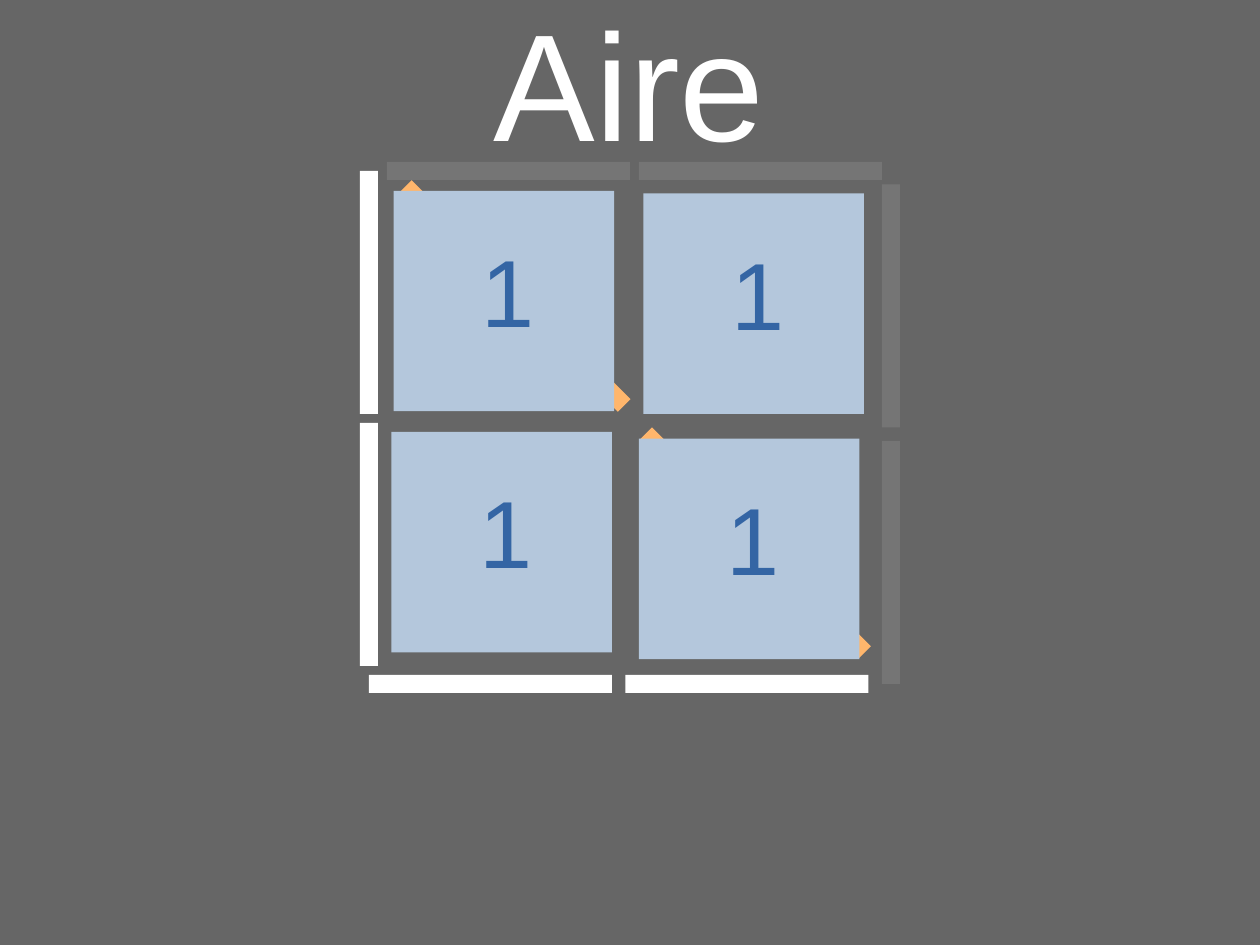
from dataclasses import dataclass

from lxml import etree
from pptx import Presentation
from pptx.dml.color import RGBColor
from pptx.enum import shapes, text
from pptx.oxml.ns import qn
from pptx.util import Cm, Pt


@dataclass(frozen=True)
class Theme:
    font: str = "Arial"
    backdrop: str = "666666"
    white: str = "FFFFFF"
    diagonal: str = "FFB66C"
    square: str = "B4C7DC"
    number: str = "3465A4"
    title_size: int = 96
    number_size: int = 60


theme = Theme()


def add_block(parent, left, top, width, height, color, opacity=100):
    block = parent.shapes.add_shape(
        shapes.MSO_SHAPE.RECTANGLE, Cm(left), Cm(top), Cm(width), Cm(height))
    block.shadow.inherit = False
    block.line.fill.background()
    block.fill.solid()
    block.fill.fore_color.rgb = RGBColor.from_string(color)
    if opacity < 100:
        srgb = block.fill._xPr.find(".//" + qn("a:srgbClr"))
        etree.SubElement(srgb, qn("a:alpha"), val=str(opacity * 1000))
    return block


def add_label(parent, words, left, top, width, height, size, color):
    label = parent.shapes.add_textbox(Cm(left), Cm(top), Cm(width), Cm(height))
    label.text_frame.text = words
    font = label.text_frame.paragraphs[0].runs[0].font
    font.name, font.size = theme.font, Pt(size)
    font.color.rgb = RGBColor.from_string(color)
    return label.text_frame


prs = Presentation()
prs.slide_width, prs.slide_height = Cm(28), Cm(21)
slide = prs.slides.add_slide(prs.slide_layouts[6])

# Backdrop and title
add_block(slide, 0, 0, 28, 21, theme.backdrop)
title = add_label(slide, "Aire", 5.97, -0.4, 16.03, 4.4,
                  theme.title_size, theme.white)
title.word_wrap = True
title.vertical_anchor = text.MSO_ANCHOR.MIDDLE
title.margin_left = title.margin_right = title.margin_top = title.margin_bottom = 0
title.paragraphs[0].alignment = text.PP_ALIGN.CENTER

# Unit sides: solid at the bottom and left
side, thickness = 5.4, 0.4
for left in (13.9, 8.2):
    add_block(slide, left, 15, side, thickness, theme.white)
for top in (9.4, 3.8):
    add_block(slide, 8, top, thickness, side, theme.white)

# Diagonals of two unit squares
for left, top in ((8, 6.38), (13.34, 11.87)):
    diagonal = add_block(slide, left, top, 6.88, thickness, theme.diagonal)
    diagonal.rotation = 45

# Unit sides: faint at the top and right
for left in (8.6, 14.2):
    add_block(slide, left, 3.6, side, thickness, theme.white, opacity=10)
for top in (4.1, 9.8):
    add_block(slide, 19.6, top, thickness, side, theme.white, opacity=10)

# Unit squares, each grouped with its area
for left, top in ((8.75, 4.24), (14.3, 4.3), (8.7, 9.6), (14.2, 9.75)):
    unit = slide.shapes.add_group_shape()
    add_block(unit, left, top, 4.9, 4.9, theme.square)
    area = add_label(unit, "1", left + 1.7, top + 0.8, 1.68, 2.62,
                     theme.number_size, theme.number)
    area.word_wrap = False

prs.save("out.pptx")
